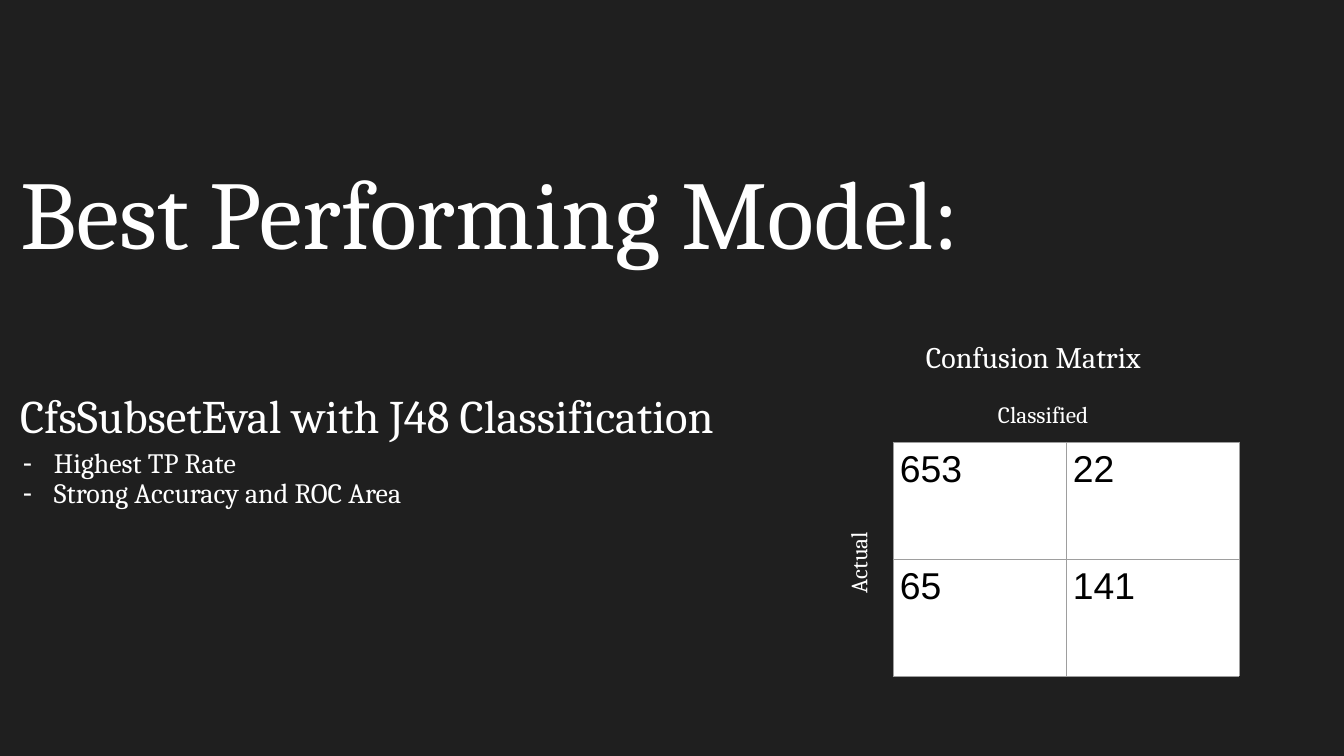
from lxml.etree import SubElement
from pptx import Presentation
from pptx.dml.color import RGBColor
from pptx.enum.text import MSO_ANCHOR, MSO_AUTO_SIZE, PP_ALIGN
from pptx.oxml.ns import qn
from pptx.util import Emu, Pt

BACKGROUND = RGBColor(0x1F, 0x1F, 0x1F)
WHITE = RGBColor(0xFF, 0xFF, 0xFF)
BLACK = RGBColor(0, 0, 0)
BORDER = RGBColor(0x9E, 0x9E, 0x9E)


def px(length):
    """Convert slide pixels (67.2 to the inch) to EMU."""
    return Emu(round(length * 914400 / 67.2))


def style(paragraph, size, font="Cambria", color=WHITE):
    for run in paragraph.runs:
        run.font.size = Pt(size)
        run.font.name = font
        run.font.color.rgb = color


prs = Presentation()
prs.slide_width, prs.slide_height = px(1344), px(756)
slide = prs.slides.add_slide(prs.slide_layouts[1])
slide.background.fill.solid()
slide.background.fill.fore_color.rgb = BACKGROUND

# Title and findings
title, findings = slide.placeholders
for placeholder, top, width, height in ((title, 166, 1207, 120), (findings, 393, 800, 295)):
    placeholder.left, placeholder.top = px(20), px(top)
    placeholder.width, placeholder.height = px(width), px(height)
    frame = placeholder.text_frame
    frame.margin_left = frame.margin_top = frame.margin_right = frame.margin_bottom = 0
    frame.vertical_anchor = MSO_ANCHOR.TOP
    frame.auto_size = MSO_AUTO_SIZE.NONE
    frame.word_wrap = True

title.text_frame.text = "Best Performing Model:"
heading = title.text_frame.paragraphs[0]
heading.alignment = PP_ALIGN.LEFT
heading.line_spacing = 0.9
style(heading, 104)

findings.text_frame.text = (
    "CfsSubsetEval with J48 Classification\n"
    "Highest TP Rate\n"
    "Strong Accuracy and ROC Area"
)
model, *reasons = findings.text_frame.paragraphs
for paragraph, space_before in zip((model, *reasons), (0, 6.4, 0)):
    paragraph.line_spacing = 0.9
    paragraph.space_before = Pt(space_before)

model_properties = model._p.get_or_add_pPr()
model_properties.set("marL", "0")
model_properties.set("indent", "0")
SubElement(model_properties, qn("a:buNone"))
style(model, 50)

for reason in reasons:
    properties = reason._p.get_or_add_pPr()
    properties.set("marL", str(px(34)))
    properties.set("indent", str(px(-31)))
    bullet_color = SubElement(properties, qn("a:buClr"))
    SubElement(bullet_color, qn("a:srgbClr"), val=str(WHITE))
    SubElement(properties, qn("a:buChar"), char="-")
    style(reason, 30)

# Confusion matrix
counts = ((653, 22), (65, 141))
matrix = slide.shapes.add_table(2, 2, px(893), px(442), px(346), px(234)).table
matrix.first_row = matrix.horz_banding = False
for row, row_counts in enumerate(counts):
    for column, count in enumerate(row_counts):
        cell = matrix.cell(row, column)
        cell.text_frame.text = str(count)
        style(cell.text_frame.paragraphs[0], 40, "Arial", BLACK)
        cell.margin_left = cell.margin_top = cell.margin_right = cell.margin_bottom = px(7)
        cell_properties = cell._tc.get_or_add_tcPr()
        for side in ("a:lnL", "a:lnR", "a:lnT", "a:lnB"):
            edge = SubElement(cell_properties, qn(side), w=str(Pt(0.75)))
            edge_fill = SubElement(edge, qn("a:solidFill"))
            SubElement(edge_fill, qn("a:srgbClr"), val=str(BORDER))
        cell.fill.solid()
        cell.fill.fore_color.rgb = WHITE

# Matrix caption and axis labels
labels = (
    ("Confusion Matrix", 919, 332, 286, 50, 32, 0),
    ("Classified", 991, 393, 248, 42, 25, 0),
    ("Actual", 579, 300, 558, 42, 25, 270),
)
for wording, left, top, width, height, size, rotation in labels:
    label = slide.shapes.add_textbox(px(left), px(top), px(width), px(height))
    label.rotation = rotation
    frame = label.text_frame
    frame.word_wrap = True
    frame.margin_left = frame.margin_top = frame.margin_right = frame.margin_bottom = px(7)
    frame.text = wording
    style(frame.paragraphs[0], size)

prs.save("out.pptx")
